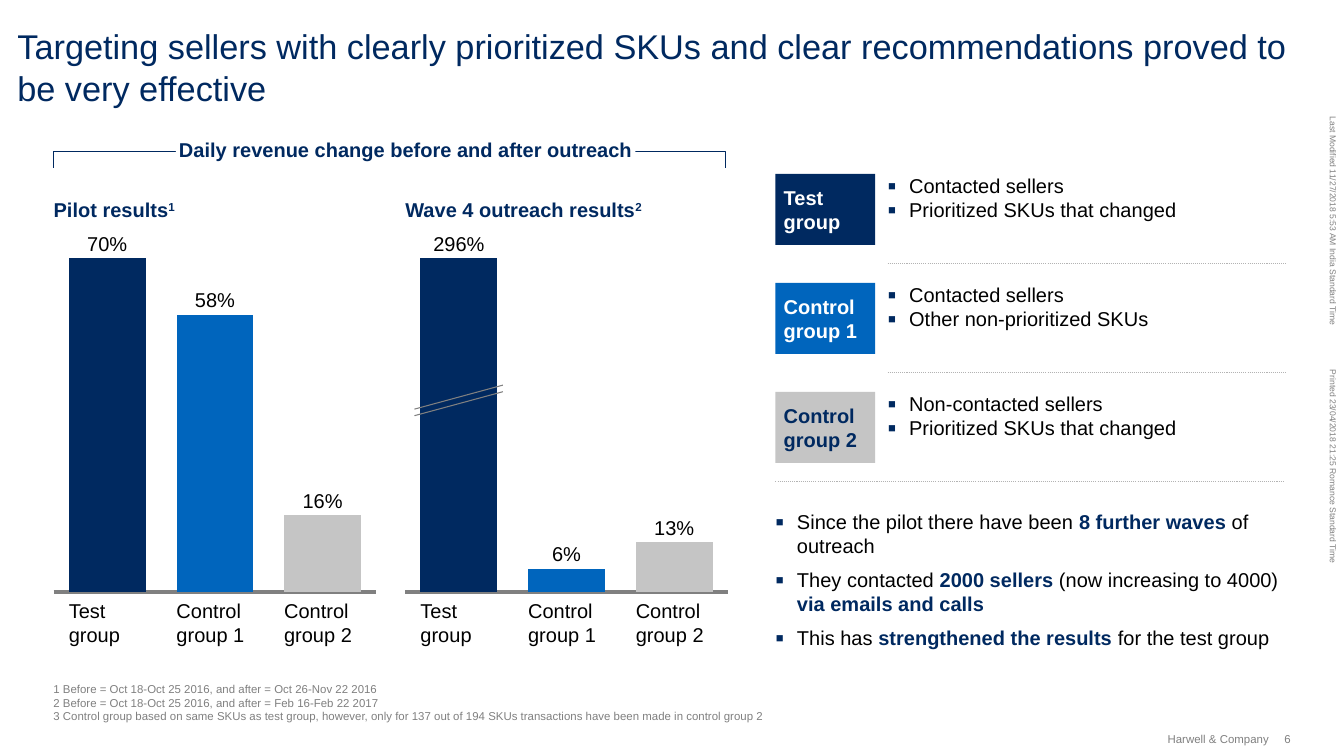
import pptx
import pptx.util
import pptx.chart.data
import pptx.dml.color
import pptx.enum.chart
import pptx.enum.dml
import pptx.enum.shapes
import pptx.enum.text
import pptx.oxml
import pptx.oxml.ns

Pt = pptx.util.Pt
Anchor = pptx.enum.text.MSO_ANCHOR
Align = pptx.enum.text.PP_ALIGN

HUES = {"navy": "002960", "blue": "0065BD", "silver": "C5C5C5", "gray": "808080",
        "dots": "B3B3B3", "black": "000000", "white": "FFFFFF"}

TITLE = ("Targeting sellers with clearly prioritized SKUs and clear "
         "recommendations proved to be very effective")
HEADING = "Daily revenue change before and after outreach"
# name, fill, text colour, description
GROUPS = [
    ("Test group", "navy", "white", ["Contacted sellers", "Prioritized SKUs that changed"]),
    ("Control group 1", "blue", "white", ["Contacted sellers", "Other non-prioritized SKUs"]),
    ("Control group 2", "silver", "navy",
     ["Non-contacted sellers", "Prioritized SKUs that changed"]),
]
# heading, footnote mark, bar heights, bar labels
PANELS = [
    ("Pilot results", "1", (100, 83, 23), ("70%", "58%", "16%")),
    ("Wave 4 outreach results", "2", (100, 7, 15), ("296%", "6%", "13%")),
]
# plain and bold runs take turns
POINTS = [
    ("Since the pilot there have been ", "8 further waves ", "of outreach"),
    ("They contacted ", "2000 sellers ", "(now increasing to 4000) ", "via emails and calls"),
    ("This has ", "strengthened the results ", "for the test group"),
]
NOTES = [
    "1 Before = Oct 18-Oct 25 2016, and after = Oct 26-Nov 22 2016",
    "2 Before = Oct 18-Oct 25 2016, and after = Feb 16-Feb 22 2017",
    "3 Control group based on same SKUs as test group, however, only for 137 out of "
    "194 SKUs transactions have been made in control group 2",
]
# text, left, top, width, height
STAMPS = [
    ("Last Modified 11/27/2018 5:53 AM India Standard Time", 859, 152.6, 149, 7.2),
    ("Printed 23/04/2018 21:25 Romance Standard Time", 864.7, 324, 137.5, 7.2),
]

CHART_W, CHART_H = 239, 247
CHART_X, CHART_Y = 31, 174.2
PANEL_STEP = 246.2
PLOT = {"x": 0.027, "y": 0.026, "w": 0.946, "h": 0.947}
GAP = 40
KEY_X, KEY_Y, KEY_STEP = 542.9, 121.7, 76.3
LIST_X = 621.4

deck = pptx.Presentation()
deck.slide_width, deck.slide_height = Pt(941), Pt(529.2)
slide = deck.slides.add_slide(deck.slide_layouts[6])
shapes = slide.shapes


def tint(name):
    return pptx.dml.color.RGBColor.from_string(HUES[name])


def style(font, size, hue, bold=False):
    font.name, font.size, font.bold = "Arial", Pt(size), bold
    font.color.rgb = tint(hue)


def fit(frame, anchor=Anchor.TOP, inset=(0, 0), wrap=True):
    """Set the anchor, the side and end insets, and the wrapping."""
    frame.word_wrap, frame.vertical_anchor = wrap, anchor
    frame.margin_left = frame.margin_right = Pt(inset[0])
    frame.margin_top = frame.margin_bottom = Pt(inset[1])


def write(text, x, y, w, h, size=14, hue="black", bold=False, align=Align.LEFT, **fitting):
    box = shapes.add_textbox(Pt(x), Pt(y), Pt(w), Pt(h))
    fit(box.text_frame, **fitting)
    box.text_frame.text = text
    for para in box.text_frame.paragraphs:
        para.alignment = align
        for run in para.runs:
            style(run.font, size, hue, bold)
    return box


def block(text, x, y, w, h, fill, hue, anchor, inset, wrap=True):
    box = shapes.add_shape(pptx.enum.shapes.MSO_SHAPE.RECTANGLE, Pt(x), Pt(y), Pt(w), Pt(h))
    box.shadow.inherit = False
    box.fill.solid()
    box.fill.fore_color.rgb = tint(fill)
    box.line.fill.background()
    fit(box.text_frame, anchor, inset, wrap)
    box.text_frame.text = text
    para = box.text_frame.paragraphs[0]
    para.alignment = Align.LEFT
    style(para.runs[0].font, 14, hue, True)


def rule(x1, y1, x2, y2, hue, dash=None):
    line = shapes.add_connector(pptx.enum.shapes.MSO_CONNECTOR.STRAIGHT,
                                Pt(x1), Pt(y1), Pt(x2), Pt(y2))
    line.line.color.rgb, line.line.width = tint(hue), Pt(0.75)
    if dash:
        line.line.dash_style = dash
    pptx.oxml.ns.qn("a:effectLst")
    line._element.spPr.append(pptx.oxml.parse_xml(
        f'<a:effectLst {pptx.oxml.ns.nsdecls("a")}/>'))


def bullets(items, x, y, w, h, space=0, anchor=Anchor.TOP):
    """Write a square-bulleted list; each item is a tuple of plain and bold runs."""
    frame = shapes.add_textbox(Pt(x), Pt(y), Pt(w), Pt(h)).text_frame
    fit(frame, anchor)
    for i, item in enumerate(items):
        para = frame.add_paragraph() if i else frame.paragraphs[0]
        props = para._p.get_or_add_pPr()
        props.set("marL", str(Pt(15.1)))
        props.set("indent", str(-Pt(15.1)))
        for tag in (f'<a:buClr {{}}><a:srgbClr val="{HUES["navy"]}"/></a:buClr>',
                    '<a:buSzPct {} val="125000"/>',
                    '<a:buFont {} typeface="Arial"/>', '<a:buChar {} char="▪"/>'):
            props.append(pptx.oxml.parse_xml(tag.format(pptx.oxml.ns.nsdecls("a"))))
        if i:
            para.space_before = Pt(space)
        for j, part in enumerate(item):
            run = para.add_run()
            run.text = part
            style(run.font, 14, "navy" if j % 2 else "black", bool(j % 2))


def columns(values, x):
    data = pptx.chart.data.CategoryChartData()
    data.categories = ["1", "2", "3"]
    data.add_series("Series 1", values)
    chart = shapes.add_chart(pptx.enum.chart.XL_CHART_TYPE.COLUMN_STACKED, Pt(x), Pt(CHART_Y),
                             Pt(CHART_W), Pt(CHART_H), data).chart
    chart.has_legend = chart.has_title = False
    style(chart.font, 10, "black")
    plot = chart.plots[0]
    plot.gap_width, plot.overlap, plot.vary_by_categories = GAP, 100, False
    for i, (_, fill, _, _) in enumerate(GROUPS):
        paint = plot.series[0].points[i].format.fill
        paint.solid()
        paint.fore_color.rgb = tint(fill)
    base, scale = chart.category_axis, chart.value_axis
    base.tick_label_position = pptx.enum.chart.XL_TICK_LABEL_POSITION.NONE
    base.major_tick_mark = base.minor_tick_mark = pptx.enum.chart.XL_TICK_MARK.NONE
    base.format.line.color.rgb, base.format.line.width = tint("gray"), Pt(2.25)
    scale.minimum_scale, scale.maximum_scale = 0, 100
    scale.has_major_gridlines = scale.visible = False
    area = chart._chartSpace.chart.plotArea
    for old in area.findall(pptx.oxml.ns.qn("c:layout")):
        area.remove(old)
    modes = '<c:xMode val="edge"/><c:yMode val="edge"/>'
    sizes = "".join(f'<c:{key} val="{val}"/>' for key, val in PLOT.items())
    area.insert(0, pptx.oxml.parse_xml(
        f'<c:layout {pptx.oxml.ns.nsdecls("c")}><c:manualLayout>'
        f'<c:layoutTarget val="inner"/>{modes}{sizes}</c:manualLayout></c:layout>'))


def panel(head, mark, values, labels, x):
    columns(values, x)
    title = write(head, x + 6.6, 137.5, 200, 17.3, hue="navy", bold=True, anchor=Anchor.BOTTOM)
    note = title.text_frame.paragraphs[0].add_run()
    note.text = mark
    style(note.font, 14, "navy", True)
    note.font._element.set("baseline", "30000")
    step = CHART_W * PLOT["w"] / len(values)
    bar = step / (1 + GAP / 100)
    for i, (value, label) in enumerate(zip(values, labels)):
        mid = x + CHART_W * PLOT["x"] + step * (i + 0.5)
        top = CHART_Y + CHART_H * (PLOT["y"] + PLOT["h"] * (1 - value / 100))
        write(label, mid - 20, top - 18.6, 40, 16.6, align=Align.CENTER,
              anchor=Anchor.BOTTOM, wrap=False)
        write(GROUPS[i][0], mid - bar / 2, 419, 48.2, 33.8)


write(TITLE, 12.2, 18, 905, 58, 24, "navy")

pen = shapes.build_freeform(Pt(37.4), Pt(117.4), scale=1.0)
pen.add_line_segments([(Pt(x), Pt(y)) for x, y in
                       ((37.4, 105.8), (508.3, 105.8), (508.3, 117.4))], close=False)
brace = pen.convert_to_shape()
brace.shadow.inherit = False
brace.fill.background()
brace.line.color.rgb, brace.line.width = tint("navy"), Pt(0.75)
block(HEADING, 123.1, 95.8, 321.8, 17.3, "white", "navy", Anchor.BOTTOM, (2.2, 0), False)

for i, row in enumerate(PANELS):
    panel(*row, CHART_X + i * PANEL_STEP)
for y in (286.4, 291):
    rule(290.2, y, 352.1, y - 16.8, "gray")

DOTS = pptx.enum.dml.MSO_LINE.ROUND_DOT
for i, (name, fill, hue, facts) in enumerate(GROUPS):
    y = KEY_Y + i * KEY_STEP
    block(name, KEY_X, y, 69.8, 49.7, fill, hue, Anchor.MIDDLE, (5.8, 5.8))
    bullets([(fact,) for fact in facts], LIST_X, y, 215.3, 33.8)
    last = i == len(GROUPS) - 1
    rule(KEY_X if last else LIST_X, y + 63, 899.3 if last else 901.4, y + 63, "dots", DOTS)
bullets(POINTS, KEY_X, 355, 356.4, 101.5, 7, Anchor.MIDDLE)

write("\n".join(NOTES), 37.4, 477.4, 897.8, 28.8, 8, "gray", anchor=Anchor.BOTTOM)
write("Harwell & Company", 808.6, 512.6, 79.9, 9.4, 8, "gray", align=Align.RIGHT,
      anchor=Anchor.MIDDLE, wrap=False)
write("6", 899.3, 512.6, 10, 9.4, 8, "gray", anchor=Anchor.MIDDLE, wrap=False)
for text, *place in STAMPS:
    write(text, *place, 6, "gray", wrap=False).rotation = 90

deck.save("out.pptx")
